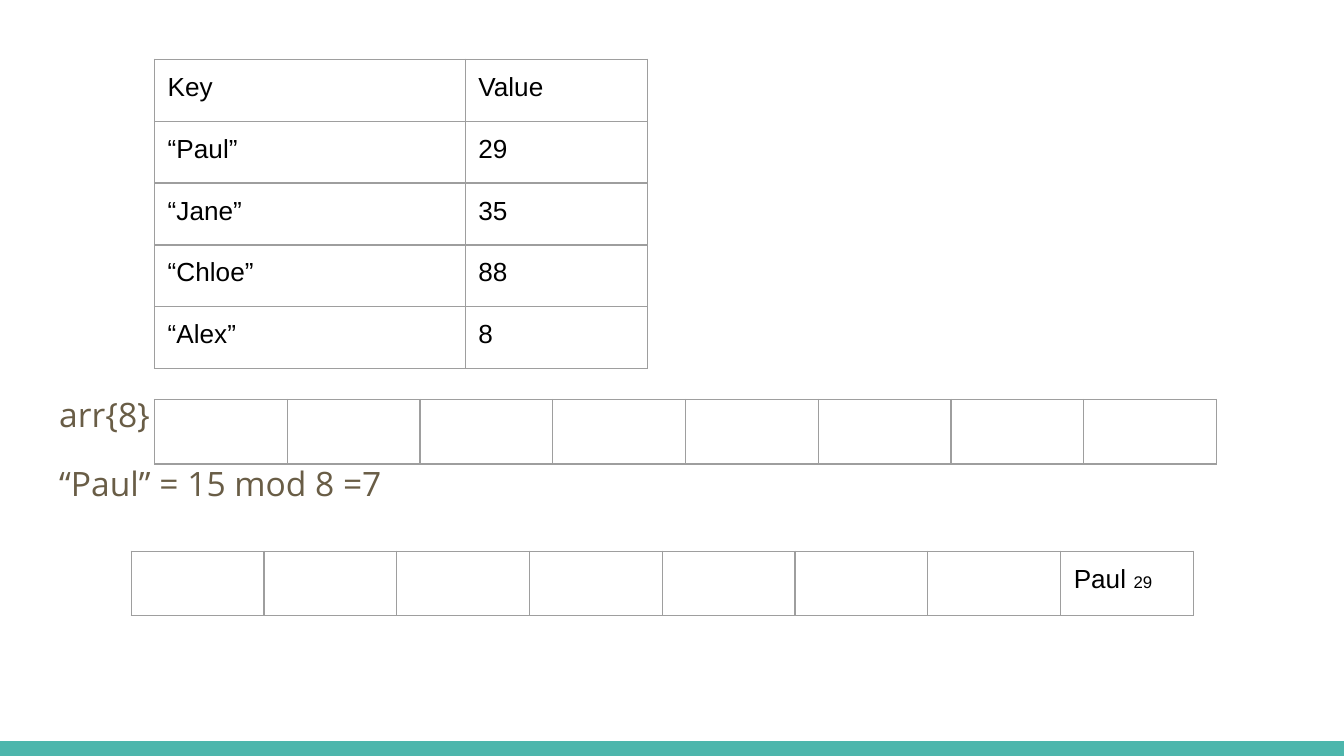
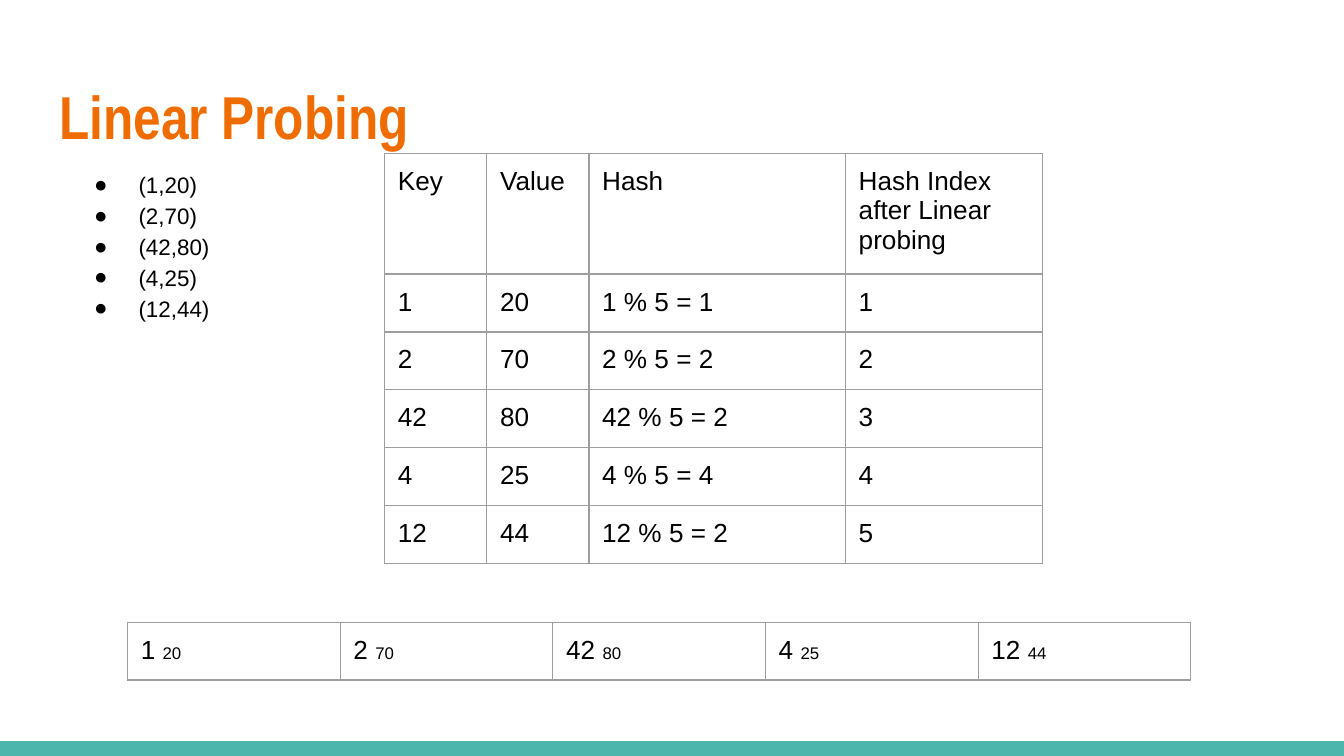
from lxml.etree import SubElement
from pptx import Presentation
from pptx.dml.color import RGBColor
from pptx.enum.shapes import MSO_SHAPE as SHAPE
from pptx.enum.text import MSO_ANCHOR as ANCHOR
from pptx.oxml.ns import qn
from pptx.util import Cm, Pt

WIDTH, HEIGHT, BAND = 25.4, 14.29, 0.28
INSET = 0.25
TEAL, ORANGE, BROWN, GREY, BLACK = "4DB6AC", "EF6C00", "695D46", "9E9E9E", "000000"

TITLE = dict(name="Arial Narrow", size=Pt(32.4), bold=True, color=ORANGE)
NOTE = dict(name="Open Sans", size=Pt(18), color=BROWN)
ITEM = dict(name="Arial", size=Pt(12), color=BLACK)
CELL = dict(name="Arial", size=Pt(14), color=BLACK)
SMALL = dict(CELL, size=Pt(9))


def rgb(value):
    return RGBColor.from_string(value)


def add_run(p, text, style):
    r = p.add_run()
    r.text = text
    for key, value in style.items():
        if key == "color":
            r.font.color.rgb = rgb(value)
        else:
            setattr(r.font, key, value)


def set_margins(obj):
    for side in ("left", "top", "right", "bottom"):
        setattr(obj, f"margin_{side}", Cm(INSET))


def add_slide(prs):
    """Add a blank slide with the band along its bottom edge."""
    s = prs.slides.add_slide(prs.slide_layouts[6])
    band = s.shapes.add_shape(SHAPE.RECTANGLE, 0, Cm(HEIGHT - BAND), Cm(WIDTH), Cm(BAND))
    band.shadow.inherit = False
    band.fill.solid()
    band.fill.fore_color.rgb = rgb(TEAL)
    band.line.fill.background()
    return s


def add_text(s, box, lines, style, anchor=ANCHOR.TOP, **spacing):
    """Write one paragraph per line; space_before applies between lines."""
    tf = s.shapes.add_textbox(*map(Cm, box)).text_frame
    tf.word_wrap = True
    tf.vertical_anchor = anchor
    set_margins(tf)
    for i, line in enumerate(lines):
        p = tf.add_paragraph() if i else tf.paragraphs[0]
        for key, value in spacing.items():
            if i or key != "space_before":
                setattr(p, key, value)
        add_run(p, line, style)
    return tf


def add_bullets(tf):
    for p in tf.paragraphs:
        pPr = p._p.get_or_add_pPr()
        pPr.set("marL", str(Cm(1.27)))
        pPr.set("indent", str(Cm(-0.84)))
        color = SubElement(pPr, qn("a:buClr"))
        SubElement(color, qn("a:srgbClr"), val=BLACK)
        SubElement(pPr, qn("a:buFont"), typeface="Arial")
        SubElement(pPr, qn("a:buChar"), char="●")


def add_borders(cell):
    tcPr = cell._tc.get_or_add_tcPr()
    for side in ("lnL", "lnR", "lnT", "lnB"):
        ln = SubElement(tcPr, qn(f"a:{side}"), w=str(Pt(0.75)))
        SubElement(SubElement(ln, qn("a:solidFill")), qn("a:srgbClr"), val=GREY)


def fill_cell(cell, content):
    """Write a string, or a (key, value) pair with the value in small type."""
    set_margins(cell)
    add_borders(cell)
    cell.fill.background()
    p = cell.text_frame.paragraphs[0]
    if isinstance(content, tuple):
        key, value = content
        add_run(p, f"{key} ", CELL)
        add_run(p, value, SMALL)
    elif content:
        add_run(p, content, CELL)
    else:
        SubElement(p._p, qn("a:endParaRPr"), sz="1400")


def add_grid(s, left, top, widths, heights, rows):
    table = s.shapes.add_table(len(rows), len(widths), Cm(left), Cm(top),
                               Cm(sum(widths)), Cm(sum(heights))).table
    table.first_row = table.horz_banding = False
    for column, width in zip(table.columns, widths):
        column.width = Cm(width)
    for row, height, contents in zip(table.rows, heights, rows):
        row.height = Cm(height)
        for cell, content in zip(row.cells, contents):
            fill_cell(cell, content)


def add_array(s, left, top, width, height, contents):
    """Draw an array as a one-row table of equal cells."""
    add_grid(s, left, top, [width] * len(contents), [height], [contents])


def build_hashing(prs):
    s = add_slide(prs)
    add_text(s, (0.87, 7.08, 23.67, 5.62), ["arr{8}", "“Paul” = 15 mod 8 =7"], NOTE,
             space_before=Pt(12), line_spacing=1.15)
    ages = [("Key", "Value"), ("“Paul”", "29"), ("“Jane”", "35"),
            ("“Chloe”", "88"), ("“Alex”", "8")]
    # Rows here are lists, since a tuple inside a row marks a key with its value.
    add_grid(s, 2.92, 1.12, [5.87, 3.45], [1.17] * len(ages), ages)
    add_array(s, 2.92, 7.55, 2.51, 1.22, [""] * 8)
    add_array(s, 2.48, 10.42, 2.51, 1.22, [""] * 7 + [("Paul", "29")])


def build_probing(prs):
    s = add_slide(prs)
    pairs = [("1", "20"), ("2", "70"), ("42", "80"), ("4", "25"), ("12", "44")]
    add_text(s, (0.87, 1.2, 23.67, 1.96), ["Linear Probing"], TITLE, ANCHOR.MIDDLE)
    items = [f"({key},{value})" for key, value in pairs]
    add_bullets(add_text(s, (1.1, 2.91, 23.67, 9.17), items, ITEM, line_spacing=1.15))
    rows = [("Key", "Value", "Hash", "Hash Index after Linear probing")]
    for index, (key, value) in enumerate(pairs, 1):
        rows.append((key, value, f"{key} % 5 = {int(key) % 5}", str(index)))
    add_grid(s, 7.27, 2.9, [1.93, 1.93, 4.85, 3.72], [2.21] + [1.07] * len(pairs), rows)
    add_array(s, 2.41, 11.76, 4.02, 1.07, pairs)


def main():
    prs = Presentation()
    prs.slide_width, prs.slide_height = Cm(WIDTH), Cm(HEIGHT)
    build_hashing(prs)
    build_probing(prs)
    prs.save("out.pptx")


if __name__ == "__main__":
    main()
